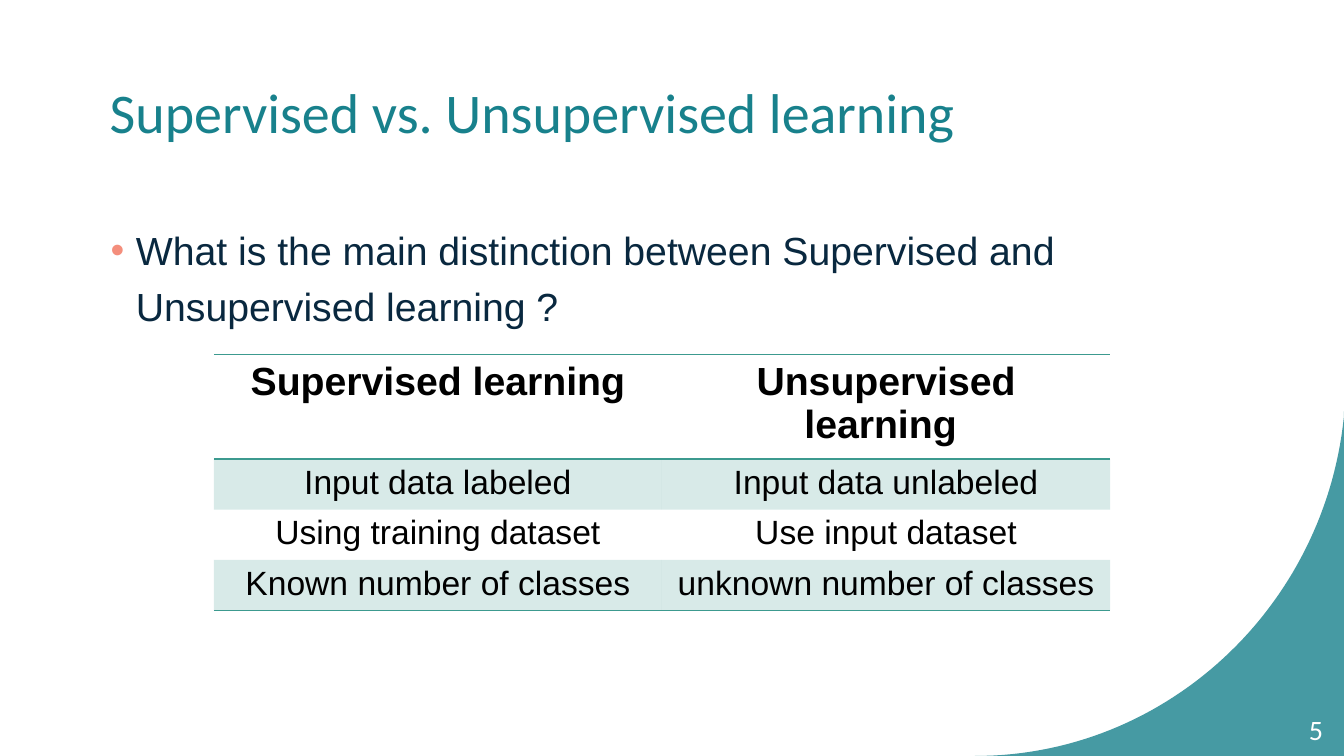
from dataclasses import dataclass

from lxml import etree
from pptx import Presentation
from pptx import util as u
from pptx.dml.color import RGBColor
from pptx.enum import text
from pptx.oxml import ns


@dataclass(frozen=True)
class Theme:
    teal: str = "18818C"
    green: str = "3C9A8F"
    navy: str = "09283F"
    coral: str = "F48E7C"
    black: str = "000000"
    white: str = "FFFFFF"
    heading_font: str = "Calibri"
    body_font: str = "Arial"
    title_size: int = 40
    body_size: int = 28
    cell_size: int = 24
    number_size: int = 20


THEME = Theme()
NO_STYLE = "{2D5ABB26-0587-4C30-8999-92F81FD0307C}"
ROWS = [
    ("Supervised learning", "Unsupervised learning\u00a0"),
    ("Input data labeled", "Input data unlabeled"),
    ("Using training dataset", "Use input dataset"),
    ("Known number of classes", "unknown number of classes"),
]


def apply(obj, formats):
    for name, value in formats.items():
        setattr(obj, name, value)


def sub(parent, tag, **attrs):
    return etree.SubElement(parent, ns.qn(tag), attrs)


def fill_solid(fill, color, opacity=100):
    fill.solid()
    fill.fore_color.rgb = RGBColor.from_string(color)
    if opacity < 100:
        clr = next(fill._xPr.iter(ns.qn("a:srgbClr")))
        sub(clr, "a:alpha", val=str(opacity * 1000))


def write(tf, words, size, font, color, bold=False, **formats):
    p = tf.paragraphs[0]
    apply(p, formats)
    r = p.add_run()
    r.text = words
    apply(r.font, {"size": u.Pt(size), "name": font, "bold": bold})
    r.font.color.rgb = RGBColor.from_string(color)
    return p


def add_text(s, box, words, size, font, color, anchor, **formats):
    tf = s.shapes.add_textbox(*map(u.Inches, box)).text_frame
    apply(tf, {"word_wrap": True, "vertical_anchor": anchor})
    return write(tf, words, size, font, color, **formats)


def add_bullet(p, char, color, indent):
    pPr = p._p.get_or_add_pPr()
    pPr.set("marL", str(u.Inches(indent)))
    pPr.set("indent", str(-u.Inches(indent)))
    sub(sub(pPr, "a:buClr"), "a:srgbClr", val=color)
    sub(pPr, "a:buFont", typeface=THEME.body_font)
    sub(pPr, "a:buChar", char=char)


def bezier(points, steps=60):
    for i in range(steps + 1):
        t = i / steps
        weights = ((1 - t) ** 3, 3 * t * (1 - t) ** 2, 3 * t * t * (1 - t), t ** 3)
        yield tuple(
            u.Inches(sum(w * pt[axis] for w, pt in zip(weights, points)))
            for axis in (0, 1)
        )


def add_corner(s):
    curve = list(bezier([(9.67, 7.5), (11.57, 7.5), (13.14, 6.02), (13.33, 4.13)]))
    edge = [(u.Inches(13.33), u.Inches(y)) for y in (4.08, 7.5)]
    fb = s.shapes.build_freeform(*curve[0])
    fb.add_line_segments(curve[1:] + edge, close=True)
    sp = fb.convert_to_shape()
    sp.shadow.inherit = False
    fill_solid(sp.fill, THEME.teal, 80)
    sp.line.fill.background()


def add_border(cell, tag):
    tcPr = cell._tc.get_or_add_tcPr()
    ln = etree.Element(ns.qn(tag), w=str(u.Pt(1)))
    sub(sub(ln, "a:solidFill"), "a:srgbClr", val=THEME.green)
    tcPr.insert(0, ln)


def add_comparison(s, rows, box, header_height, row_height):
    table = s.shapes.add_table(len(rows), len(rows[0]), *map(u.Inches, box)).table
    apply(table, {"first_row": False, "horz_banding": False})
    table._tbl.tblPr.find(ns.qn("a:tableStyleId")).text = NO_STYLE
    for i, row in enumerate(rows):
        header = i == 0
        table.rows[i].height = u.Inches(header_height if header else row_height)
        for j, words in enumerate(row):
            cell = table.cell(i, j)
            size = THEME.body_size if header else THEME.cell_size
            write(cell.text_frame, words, size, THEME.body_font, THEME.black,
                  bold=header, alignment=text.PP_ALIGN.CENTER)
            if i % 2:
                fill_solid(cell.fill, THEME.green, 20)
            else:
                cell.fill.background()
            if i in (0, len(rows) - 1):
                add_border(cell, "a:lnB")
            if header:
                add_border(cell, "a:lnT")


def main():
    prs = Presentation()
    apply(prs, {"slide_width": u.Inches(13.33), "slide_height": u.Inches(7.5)})
    s = prs.slides.add_slide(prs.slide_layouts[6])
    fill_solid(s.background.fill, THEME.white)
    add_corner(s)
    middle, top = text.MSO_ANCHOR.MIDDLE, text.MSO_ANCHOR.TOP
    add_text(s, (0.99, 0.49, 10.84, 1.22), "Supervised vs. Unsupervised learning\u00a0",
             THEME.title_size, THEME.heading_font, THEME.teal, middle)
    question = add_text(
        s, (1, 2.1, 10.84, 5.04),
        "What is the main distinction between Supervised and "
        "Unsupervised learning\u00a0?",
        THEME.body_size, THEME.body_font, THEME.navy, top,
        line_spacing=1.2, space_before=u.Pt(10))
    add_bullet(question, "•", THEME.coral, 0.25)
    add_text(s, (12.46, 7.04, 0.76, 0.4), "5", THEME.number_size,
             THEME.heading_font, THEME.white, middle, alignment=text.PP_ALIGN.RIGHT)
    add_comparison(s, ROWS, (2.12, 3.52, 8.89, 2.38), 0.97, 0.47)
    prs.save("out.pptx")


main()
